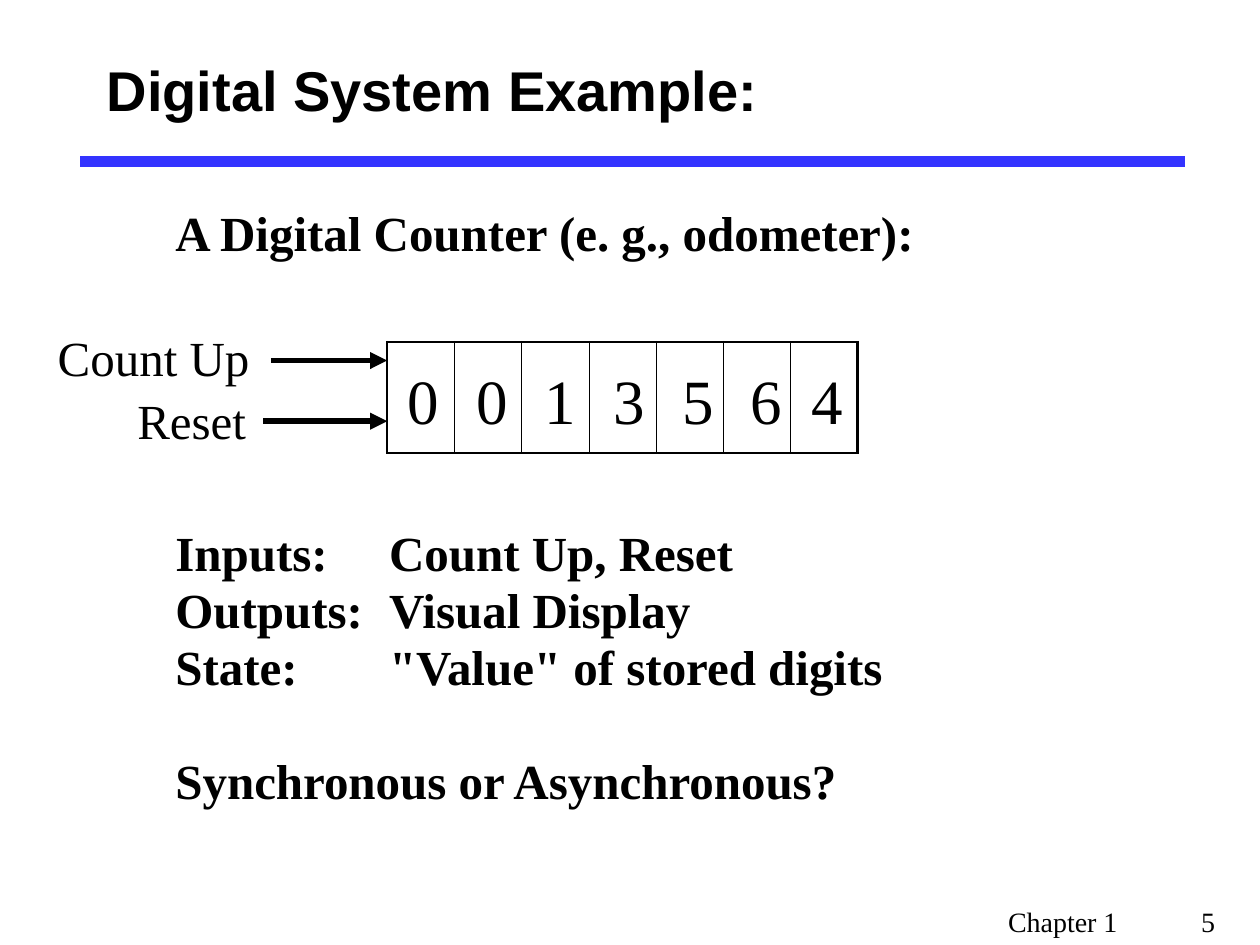
from pptx import Presentation
from pptx.dml.color import RGBColor
from pptx.enum.shapes import MSO_CONNECTOR
from pptx.enum.text import MSO_ANCHOR
from pptx.oxml.ns import qn
from pptx.util import Pt
from lxml.etree import SubElement

# Content
TITLE = "Digital System Example:"
HEAD = "A Digital Counter (e. g., odometer):"
DIGITS = "0013564"
FACTS = [
    ("Inputs:", "Count Up, Reset"),
    ("Outputs:", "Visual Display"),
    ("State:", '"Value" of stored digits'),
]
ASK = "Synchronous or Asynchronous?"
# Input label, label box (left, top, width), arrow start and height
INPUTS = [
    ("Count Up", (33, 187, 112), 154.8, 206),
    ("Reset", (78.5, 223, 68), 150.5, 240.7),
]
FOOT = "Chapter 1\t5"

# Formats
BLACK, BLUE = "000000", "3333FF"
SERIF = "Times New Roman"
BIG = {"name": "Arial", "size": Pt(32), "bold": True}
BOLD = {"name": SERIF, "size": Pt(28), "bold": True}
PLAIN = {"name": SERIF, "size": Pt(28), "bold": False}
DIGIT = {"name": SERIF, "size": Pt(36), "bold": False}
SMALL = {"name": SERIF, "size": Pt(16), "bold": False}

# Layout
LEFT, RIGHT, LINE = 100.2, 222.3, 34
FACT_TOP, STEP = 298.7, 32.5
GRID_X, GRID_Y, CELL_W, CELL_H = 221.3, 195.5, 38.4, 63.5
DIGIT_X, DIGIT_GAP, LAST_X = 233, 39.2, 463.7

deck = Presentation()
deck.slide_width, deck.slide_height = Pt(720), Pt(540)
slide = deck.slides.add_slide(deck.slide_layouts[6])


def color(code):
    return RGBColor.from_string(code)


def write(text, x, y, w, h, form, inset=(0, 0), mid=False, wrap=False, tab=None):
    box = slide.shapes.add_textbox(Pt(x), Pt(y), Pt(w), Pt(h))
    frame = box.text_frame
    side, edge = map(Pt, inset)
    look = {
        "word_wrap": wrap,
        "margin_left": side, "margin_right": side,
        "margin_top": edge, "margin_bottom": edge,
        "vertical_anchor": MSO_ANCHOR.MIDDLE if mid else MSO_ANCHOR.TOP,
    }
    for key, val in look.items():
        setattr(frame, key, val)
    para = frame.paragraphs[0]
    if tab:
        tabs = SubElement(para._p.get_or_add_pPr(), qn("a:tabLst"))
        SubElement(tabs, qn("a:tab"), pos=str(Pt(tab)), algn="l")
    run = para.add_run()
    run.text = text
    for key, val in form.items():
        setattr(run.font, key, val)
    run.font.color.rgb = color(BLACK)


def draw(x1, x2, y, width, code, arrow=False):
    line = slide.shapes.add_connector(
        MSO_CONNECTOR.STRAIGHT, Pt(x1), Pt(y), Pt(x2), Pt(y))
    line.line.width = Pt(width)
    line.line.color.rgb = color(code)
    if arrow:
        SubElement(line.line._ln, qn("a:tailEnd"), type="triangle")
    SubElement(line._element.spPr, qn("a:effectLst"))


def border(cell, side, width):
    line = SubElement(cell._tc.get_or_add_tcPr(), qn("a:ln" + side),
                      w=str(Pt(width)))
    fill = SubElement(line, qn("a:solidFill"))
    SubElement(fill, qn("a:srgbClr"), val=BLACK)


# Title, rule and footer
draw(46, 677, 92.2, 6, BLUE)
write(TITLE, 54, 18, 612, 66, BIG, inset=(7.2, 3.6), mid=True, wrap=True)
write(FOOT, 569, 513.4, 151, 26.6, SMALL, inset=(7.2, 3.6), wrap=True, tab=110.2)

# Counter frame
count = len(DIGITS)
grid = slide.shapes.add_table(
    1, count, Pt(GRID_X), Pt(GRID_Y), Pt(CELL_W * count), Pt(CELL_H)).table
grid.first_row = grid.horz_banding = False
thick, thin = 1.5, 0.25
for col in range(count):
    grid.columns[col].width = Pt(CELL_W)
    cell = grid.cell(0, col)
    border(cell, "L", thick if col == 0 else thin)
    border(cell, "R", thick if col == count - 1 else thin)
    border(cell, "T", thick)
    border(cell, "B", thick)
    cell.fill.background()

# Digits, the last one set a little closer
for col, digit in enumerate(DIGITS):
    x = LAST_X if col == count - 1 else DIGIT_X + col * DIGIT_GAP
    write(digit, x, 206.6, 19, 43, DIGIT, mid=True)

# Input labels and arrows
for text, (x, y, w), start, level in INPUTS:
    write(text, x, y, w, LINE, PLAIN)
    draw(start, GRID_X, level, 3.25, BLACK, arrow=True)

# Heading, facts and question
write(HEAD, LEFT, 115.7, 426, LINE, BOLD)
for row, (name, fact) in enumerate(FACTS):
    y = FACT_TOP + row * STEP
    write(name, LEFT, y, 110, LINE, BOLD)
    write(fact, RIGHT, y, 312, LINE, BOLD)
write(ASK, LEFT, FACT_TOP + 4 * STEP, 384, LINE, BOLD)

deck.save("out.pptx")
